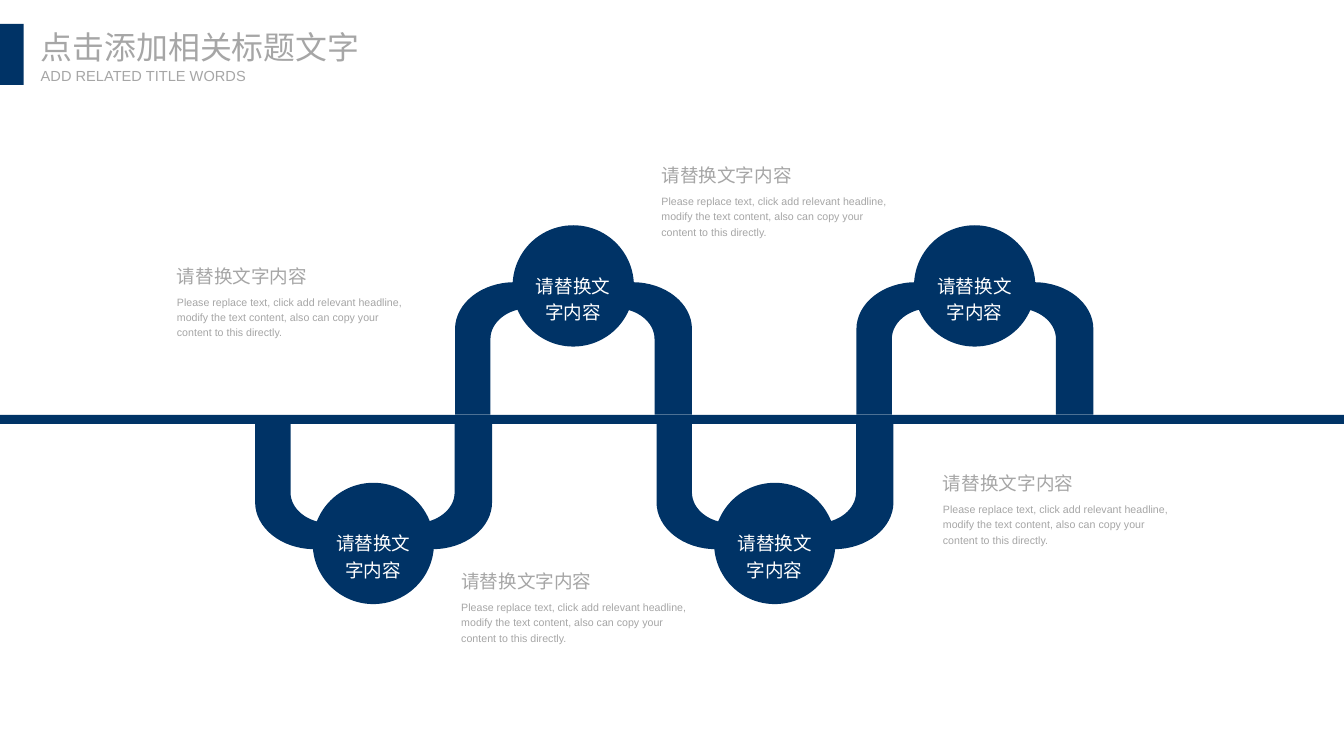
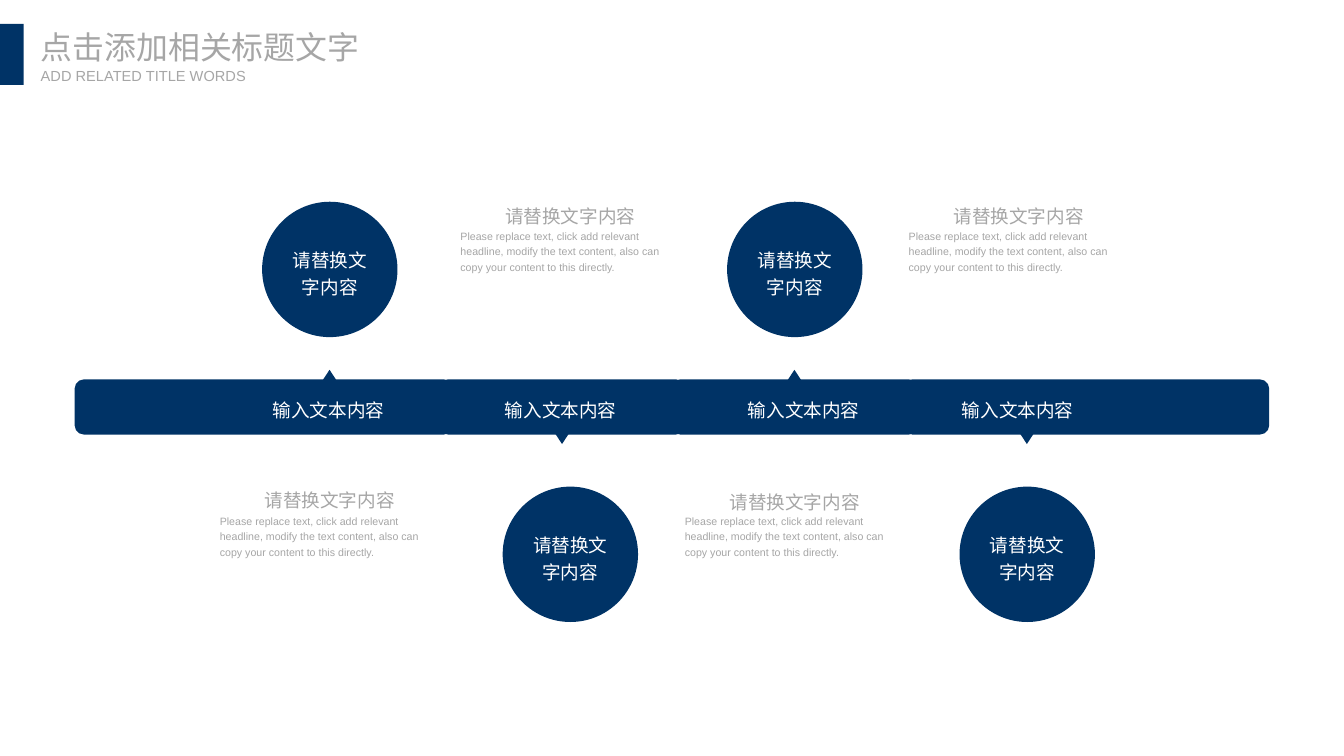
"""Build two timeline slides: a winding pipe and a segmented bar."""
import dataclasses

import lxml.etree
import pptx
import pptx.dml.color
import pptx.enum.shapes
import pptx.enum.text
import pptx.oxml.ns
import pptx.util

Pt = pptx.util.Pt
Align = pptx.enum.text.PP_ALIGN
Preset = pptx.enum.shapes.MSO_SHAPE


@dataclasses.dataclass(frozen=True)
class Theme:
    navy: str = "003366"
    grey: str = "A6A6A6"
    white: str = "FFFFFF"
    title_font: str = "Noto Sans CJK SC"
    body_font: str = "Arial"
    title_size: int = 24
    subtitle_size: int = 11
    heading_size: int = 14
    body_size: int = 8


theme = Theme()
color_of = pptx.dml.color.RGBColor.from_string


def write_text(shape, text, size=theme.heading_size, color=theme.grey, font=theme.body_font,
               align=Align.LEFT, line_spacing=1.2, side_margin=0, top_margin=0):
    frame = shape.text_frame
    frame.word_wrap = True
    frame.auto_size = pptx.enum.text.MSO_AUTO_SIZE.NONE
    frame.vertical_anchor = pptx.enum.text.MSO_ANCHOR.TOP
    frame.margin_left = frame.margin_right = Pt(side_margin)
    frame.margin_top, frame.margin_bottom = Pt(top_margin), 0
    paragraph = frame.paragraphs[0]
    paragraph.alignment = align
    paragraph.line_spacing = line_spacing
    run = paragraph.add_run()
    run.text = text
    run.font.name, run.font.size = font, Pt(size)
    run.font.color.rgb = color_of(color)


def paint_navy(shape):
    shape.shadow.inherit = False
    shape.fill.solid()
    shape.fill.fore_color.rgb = color_of(theme.navy)
    shape.line.fill.background()
    return shape


presentation = pptx.Presentation()
presentation.slide_width, presentation.slide_height = Pt(1012.5), Pt(569.5)
title_only = presentation.slide_layouts[5]
pipe_slide, bar_slide = [presentation.slides.add_slide(title_only) for _ in range(2)]

for slide in (pipe_slide, bar_slide):
    paint_navy(slide.shapes.add_shape(Preset.RECTANGLE, 0, Pt(18), Pt(17.8), Pt(46)))
    title = slide.shapes.title
    title.left, title.top, title.width, title.height = Pt(30.7), Pt(21), Pt(243), Pt(29)
    write_text(title, "点击添加相关标题文字", size=theme.title_size,
               font=theme.title_font, line_spacing=1)
    subtitle = slide.shapes.add_textbox(Pt(30.7), Pt(50.4), Pt(157), Pt(14))
    write_text(subtitle, "ADD RELATED TITLE WORDS", size=theme.subtitle_size, line_spacing=1)

step_label = "请替换文字内容"

pipe_width, pipe_depth = 178.5, 99.7
inner_left, inner_right, inner_depth = 26.7, 150.3, 80
outer_radius = (44.6, 35.3)
inner_radius = (29, 23)
bend = 0.45
corners = [
    (inner_left, inner_depth, inner_radius, 1, True),
    (inner_right, inner_depth, inner_radius, -1, False),
    (pipe_width, pipe_depth, outer_radius, -1, False),
    (0, pipe_depth, outer_radius, 1, True),
]
curves = []
for corner_x, corner_y, (radius_x, radius_y), inward, from_side in corners:
    curve = [(corner_x, corner_y - radius_y),
             (corner_x, corner_y - bend * radius_y),
             (corner_x + inward * bend * radius_x, corner_y),
             (corner_x + inward * radius_x, corner_y)]
    curves.append(curve if from_side else curve[::-1])
curves[2].reverse()
curves[3].reverse()
outline = [(0, 0), (inner_left, 0), *curves[0], *curves[1],
           (inner_right, 0), (pipe_width, 0), *curves[2], *curves[3]]
curve_starts = (2, 6, 12, 16)

pipe_pitch = 151.2
for step in range(4):
    edge, direction, circle_top, shift = [(314, 1, 363.7, 0), (312.3, -1, 169.7, -0.6)][step % 2]
    pipe_left = 192.2 + pipe_pitch * step + shift
    points = [(Pt(pipe_left + x), Pt(edge + direction * y)) for x, y in outline]
    builder = pipe_slide.shapes.build_freeform(*points[0])
    builder.add_line_segments(points[1:], close=True)
    pipe = paint_navy(builder.convert_to_shape())
    segments = pipe.element.xpath(".//a:path/a:lnTo")
    for start in curve_starts:
        curve = lxml.etree.Element(pptx.oxml.ns.qn("a:cubicBezTo"))
        segments[start].addprevious(curve)
        for segment in segments[start:start + 3]:
            curve.append(segment[0])
            segment.getparent().remove(segment)
    circle = paint_navy(pipe_slide.shapes.add_shape(
        Preset.OVAL, Pt(pipe_left + 43.4), Pt(circle_top), Pt(91.4), Pt(91.4)))
    write_text(circle, step_label, color=theme.white, align=Align.CENTER, top_margin=20.4)
paint_navy(pipe_slide.shapes.add_shape(Preset.RECTANGLE, 0, Pt(312.5), Pt(1013.5), Pt(6.9)))

bar_top, bar_height, pointer_pitch = 285.8, 41.6, 175.1
bar_steps = [
    (56.2, 285.2, 197.5, 190),
    (330.5, 185.8, 378.7, 365),
    (505.5, 186.3, 547.8, 548),
    (680.4, 275.8, 722.9, 709.2),
]
for step, (bar_left, bar_width, circle_left, label_left) in enumerate(bar_steps):
    pointer_top, rotation, circle_top = [(278.6, 0, 152), (325.2, 180, 366.6)][step % 2]
    bar = paint_navy(bar_slide.shapes.add_shape(
        Preset.ROUNDED_RECTANGLE, Pt(bar_left), Pt(bar_top), Pt(bar_width), Pt(bar_height)))
    bar.adjustments[0] = 0.17
    pointer = paint_navy(bar_slide.shapes.add_shape(
        Preset.ISOSCELES_TRIANGLE, Pt(242.2 + pointer_pitch * step), Pt(pointer_top), Pt(12.2), Pt(9.3)))
    pointer.rotation = rotation
    circle = paint_navy(bar_slide.shapes.add_shape(
        Preset.OVAL, Pt(circle_left), Pt(circle_top), Pt(102), Pt(102)))
    write_text(circle, step_label, color=theme.white, align=Align.CENTER,
               side_margin=6, top_margin=17.5)
for _, _, _, label_left in bar_steps:
    label = bar_slide.shapes.add_textbox(Pt(label_left), Pt(297.4), Pt(115), Pt(20))
    write_text(label, "输入文本内容", color=theme.white, align=Align.CENTER)

caption_groups = [
    (pipe_slide, 172, Align.LEFT,
     [(133.3, 196, 221), (347.5, 426, 450.8), (498.3, 120.2, 145), (710.4, 352.2, 377)]),
    (bar_slide, 165.6, Align.CENTER,
     [(165.6, 365, 386), (346.9, 151.2, 171.4), (515.9, 366.5, 386), (684.6, 151.2, 171.4)]),
]
for slide, width, heading_align, captions in caption_groups:
    for left, heading_top, body_top in captions:
        heading = slide.shapes.add_textbox(Pt(left), Pt(heading_top), Pt(width), Pt(20))
        write_text(heading, step_label, align=heading_align)
        body = slide.shapes.add_textbox(Pt(left), Pt(body_top), Pt(width), Pt(34))
        write_text(body, "Please replace text, click add relevant headline, modify the text content, "
                         "also can copy your content to this directly.", size=theme.body_size)

presentation.save("out.pptx")
